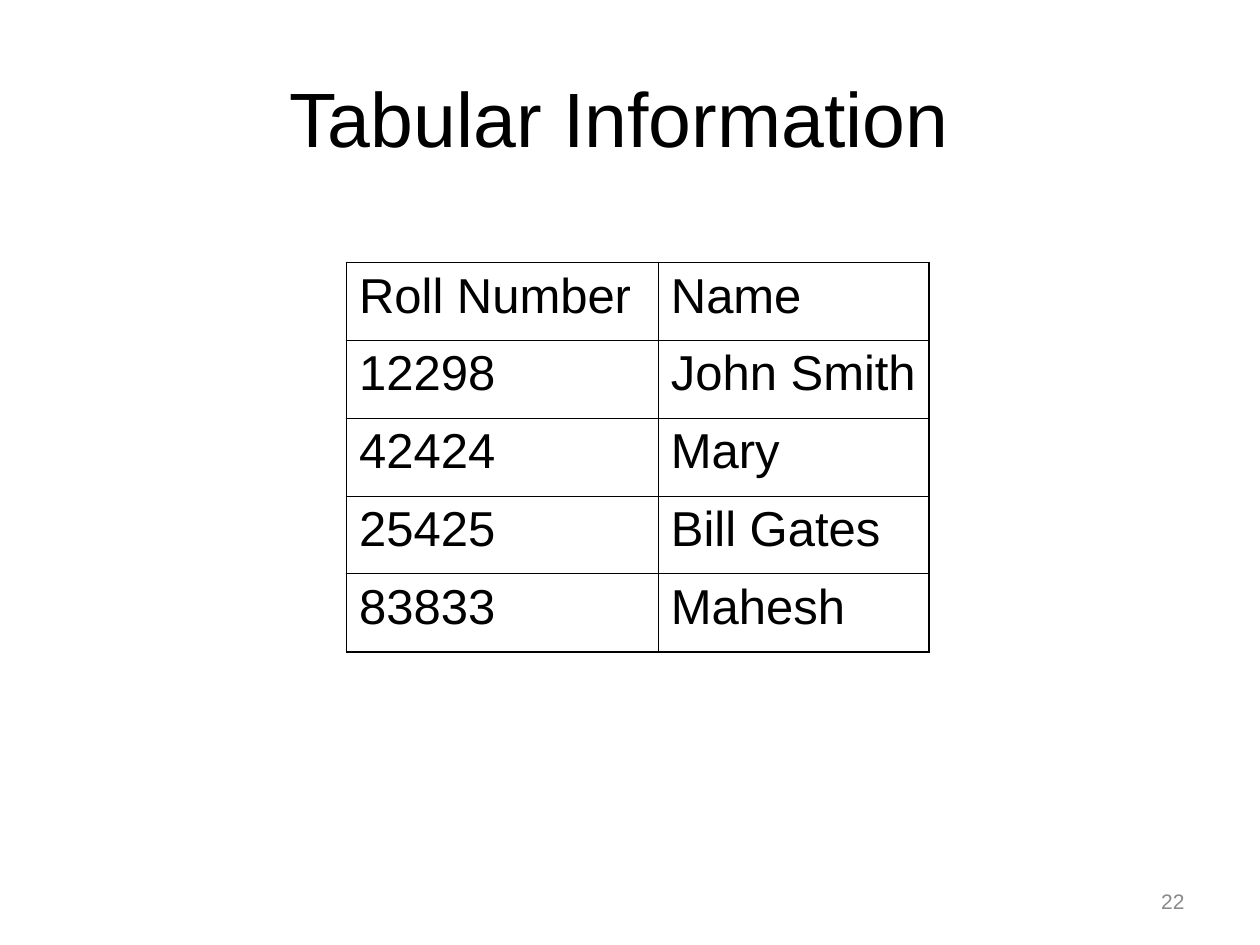
from dataclasses import dataclass

from lxml.etree import SubElement
from pptx import Presentation
from pptx.dml.color import RGBColor
from pptx.enum.text import MSO_ANCHOR as Anchor, PP_ALIGN as Align
from pptx.oxml.ns import qn
from pptx.util import Inches, Pt


@dataclass(frozen=True)
class Theme:
    """Colours, font, sizes and line widths of the slide."""
    font: str = "Arial"
    ink: str = "000000"
    muted: str = "898989"
    title_size: float = 44
    table_size: float = 28
    number_size: float = 12
    row_gap: float = 7
    outer_line: float = 1.08
    inner_line: float = 0.45


THEME = Theme()
COLUMNS, ROWS = 200, 150
SLIDE_WIDTH, SLIDE_HEIGHT = Inches(10), Inches(7.5)

TITLE_BOX = (10, 6, 180, 25)
TABLE_COLUMNS = (49.5, 43)
TABLE_BOX = (55, 41.67, sum(TABLE_COLUMNS), 61.8)
NUMBER_BOX = (143.4, 139, 46.6, 8)
STUDENTS = [
    ("Roll Number", "Name"),
    ("12298", "John Smith"),
    ("42424", "Mary"),
    ("25425", "Bill Gates"),
    ("83833", "Mahesh"),
]


def place(box):
    """Turn a box in grid columns and rows into slide lengths."""
    left, top, width, height = box
    return (int(left * SLIDE_WIDTH / COLUMNS), int(top * SLIDE_HEIGHT / ROWS),
            int(width * SLIDE_WIDTH / COLUMNS), int(height * SLIDE_HEIGHT / ROWS))


def apply_format(target, values):
    """Set each named attribute on the target."""
    for name, value in values.items():
        setattr(target, name, value)


def write_text(frame, text, size, color, **paragraph_format):
    """Write one formatted paragraph into a text frame."""
    paragraph = frame.paragraphs[0]
    apply_format(paragraph, paragraph_format)
    run = paragraph.add_run()
    run.text = text
    apply_format(run.font, {"name": THEME.font, "size": Pt(size)})
    run.font.color.rgb = RGBColor.from_string(color)


def add_label(slide, box, text, size, color, alignment):
    """Add a vertically centred line of text in the box."""
    frame = slide.shapes.add_textbox(*place(box)).text_frame
    apply_format(frame, {"word_wrap": True, "vertical_anchor": Anchor.MIDDLE})
    write_text(frame, text, size, color, alignment=alignment)


def draw_borders(cell, outer_sides):
    """Draw the four cell borders, heavier on the outer sides."""
    properties = cell._tc.get_or_add_tcPr()
    for side, is_outer in outer_sides.items():
        width = THEME.outer_line if is_outer else THEME.inner_line
        line = SubElement(properties, qn(f"a:ln{side}"), w=str(Pt(width)))
        fill = SubElement(line, qn("a:solidFill"))
        SubElement(fill, qn("a:srgbClr"), val=THEME.ink)


def add_student_table(slide, box, records):
    """Add a ruled table of records that fills the box."""
    left, top, width, height = place(box)
    last_row, last_column = len(records) - 1, len(records[0]) - 1
    table = slide.shapes.add_table(len(records), len(records[0]),
                                   left, top, width, height).table
    apply_format(table, {"first_row": False, "horz_banding": False})
    for column, share in zip(table.columns, TABLE_COLUMNS):
        column.width = int(width * share / sum(TABLE_COLUMNS))
    for row_index, record in enumerate(records):
        for column_index, text in enumerate(record):
            cell = table.cell(row_index, column_index)
            draw_borders(cell, {"L": column_index == 0,
                                "R": column_index == last_column,
                                "T": row_index == 0,
                                "B": row_index == last_row})
            cell.fill.background()
            write_text(cell.text_frame, text, THEME.table_size, THEME.ink,
                       space_before=Pt(THEME.row_gap))


def main():
    """Build and save the presentation."""
    presentation = Presentation()
    apply_format(presentation, {"slide_width": SLIDE_WIDTH,
                                "slide_height": SLIDE_HEIGHT})
    slide = presentation.slides.add_slide(presentation.slide_layouts[6])
    add_label(slide, TITLE_BOX, "Tabular Information ",
              THEME.title_size, THEME.ink, Align.CENTER)
    add_student_table(slide, TABLE_BOX, STUDENTS)
    add_label(slide, NUMBER_BOX, "22",
              THEME.number_size, THEME.muted, Align.RIGHT)
    presentation.save("out.pptx")


if __name__ == "__main__":
    main()
